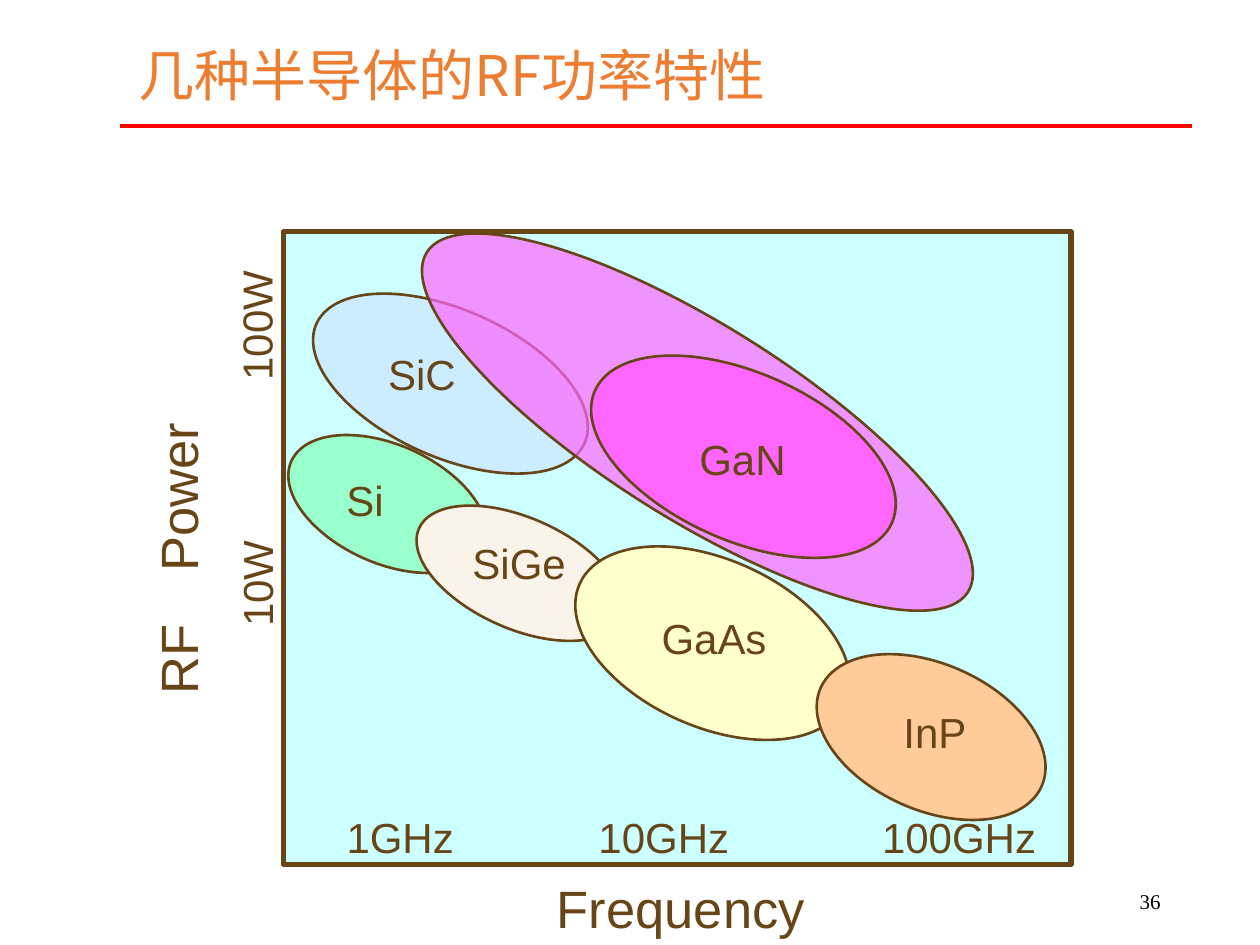
from dataclasses import dataclass

from lxml.etree import SubElement
from pptx import Presentation
from pptx.dml.color import RGBColor
from pptx.enum.shapes import MSO_CONNECTOR as CONN, MSO_SHAPE as SHAPE
from pptx.enum.text import MSO_ANCHOR as ANCHOR, PP_ALIGN as ALIGN
from pptx.oxml.ns import qn
from pptx.util import Inches, Pt

COLS, ROWS = 40, 30
CELL = Inches(0.25)
TILT = 24


@dataclass(frozen=True)
class Theme:
    ink: str = "674517"
    title: str = "ED7D31"
    rule: str = "FF0000"
    plot: str = "CCFFFF"
    gan: str = "FF66FF"
    number: str = "000000"
    font: str = "Arial"
    title_font: str = "Noto Sans CJK SC"
    number_font: str = "Times New Roman"
    title_size: int = 32
    axis_size: int = 30
    label_size: int = 24
    number_size: int = 12


THEME = Theme()

# name, fill, ellipse box, label box; lengths in grid cells
MATERIALS = [
    ("SiC", "CCECFF", (9.64, 9.84, 9.32, 4.68), (12.32, 11.08, 3.32, 1.6)),
    ("Si", "99FFCC", (8.96, 14.12, 6.68, 3.76), (11, 15.08, 2, 1.6)),
    ("SiGe", "FAF3EA", (13, 16.44, 7, 3.52), (15, 17.08, 3.32, 1.6)),
    ("GaAs", "FFFFCC", (18, 17.76, 9.24, 5.32), (21, 19.44, 4.32, 1.6)),
    ("InP", "FFCC99", (25.72, 21.08, 7.68, 4.64), (28.68, 22.44, 2.68, 1.6)),
]
GAN = ("GaN", THEME.gan, (18.44, 11.84, 10.32, 5.32), (22.2, 13.76, 3.32, 1.6))

# text, box, rotation
TICKS = [
    ("1GHz", (11, 25.76, 4.32, 1.6), 0),
    ("10GHz", (19, 25.76, 5.32, 1.6), 0),
    ("100GHz", (28, 25.76, 6.32, 1.6), 0),
    ("10W", (6.48, 17.44, 3.32, 1.6), 270),
    ("100W", (6.12, 9.28, 4, 1.6), 270),
]


def cells(*values):
    return [round(v * CELL) for v in values]


def add_text(s, text, box, size, color=THEME.ink, font=THEME.font, rotation=0):
    """Add a one-line text box without margins and return it."""
    sp = s.shapes.add_textbox(*cells(*box))
    sp.rotation = rotation
    tf = sp.text_frame
    tf.word_wrap = True
    tf.margin_left = tf.margin_right = tf.margin_top = tf.margin_bottom = 0
    p = tf.paragraphs[0]
    p.text = text
    p.font.size = Pt(size)
    p.font.name = font
    p.font.color.rgb = RGBColor.from_string(color)
    return sp


def add_area(s, kind, box, fill, width, rotation=0, opacity=100):
    sp = s.shapes.add_shape(kind, *cells(*box))
    sp.rotation = rotation
    sp.shadow.inherit = False
    sp.fill.solid()
    sp.fill.fore_color.rgb = RGBColor.from_string(fill)
    sp.line.color.rgb = RGBColor.from_string(THEME.ink)
    sp.line.width = Pt(width)
    if opacity < 100:
        color = sp._element.spPr.find(qn("a:solidFill"))[0]
        SubElement(color, qn("a:alpha"), val=str(opacity * 1000))


def add_material(s, name, fill, ellipse, label):
    add_area(s, SHAPE.OVAL, ellipse, fill, 1.5, TILT)
    add_text(s, name, label, THEME.label_size)


def add_title(s, text):
    sp = add_text(s, text, (4, 0, 36, 5), THEME.title_size, THEME.title, THEME.title_font)
    tf = sp.text_frame
    tf.vertical_anchor = ANCHOR.MIDDLE
    tf.margin_left = tf.margin_right = Inches(0.1)
    p = tf.paragraphs[0]
    p.line_spacing = 0.9
    SubElement(p.runs[0].font._element, qn("a:ea"), typeface=THEME.title_font)


def add_rule(s):
    line = s.shapes.add_connector(CONN.STRAIGHT, *cells(3.8, 4, 37.84, 4))
    line.line.color.rgb = RGBColor.from_string(THEME.rule)
    line.line.width = Pt(2.25)
    SubElement(line._element.spPr, qn("a:effectLst"))


def add_page_number(s, number):
    sp = add_text(s, number, (28.24, 27.8, 9, 1.6), THEME.number_size,
                  THEME.number, THEME.number_font)
    sp.text_frame.vertical_anchor = ANCHOR.MIDDLE
    sp.text_frame.margin_right = Inches(0.1)
    sp.text_frame.paragraphs[0].alignment = ALIGN.RIGHT


def main():
    prs = Presentation()
    prs.slide_width, prs.slide_height = cells(COLS, ROWS)
    s = prs.slides.add_slide(prs.slide_layouts[6])

    add_title(s, "几种半导体的RF功率特性")
    add_text(s, "Frequency", (17.68, 27.8, 9.88, 2), THEME.axis_size)
    add_text(s, "RF　Power", (0.08, 15.48, 11.12, 2), THEME.axis_size, rotation=270)
    add_area(s, SHAPE.RECTANGLE, (9, 7.36, 25, 20.08), THEME.plot, 3)
    for text, box, rotation in TICKS:
        add_text(s, text, box, THEME.label_size, rotation=rotation)
    for material in MATERIALS:
        add_material(s, *material)
    add_area(s, SHAPE.OVAL, (12, 10.32, 20.28, 6.16), THEME.gan, 1.5, 32.1, opacity=70)
    add_material(s, *GAN)
    add_rule(s)
    add_page_number(s, "36")
    prs.save("out.pptx")


if __name__ == "__main__":
    main()
